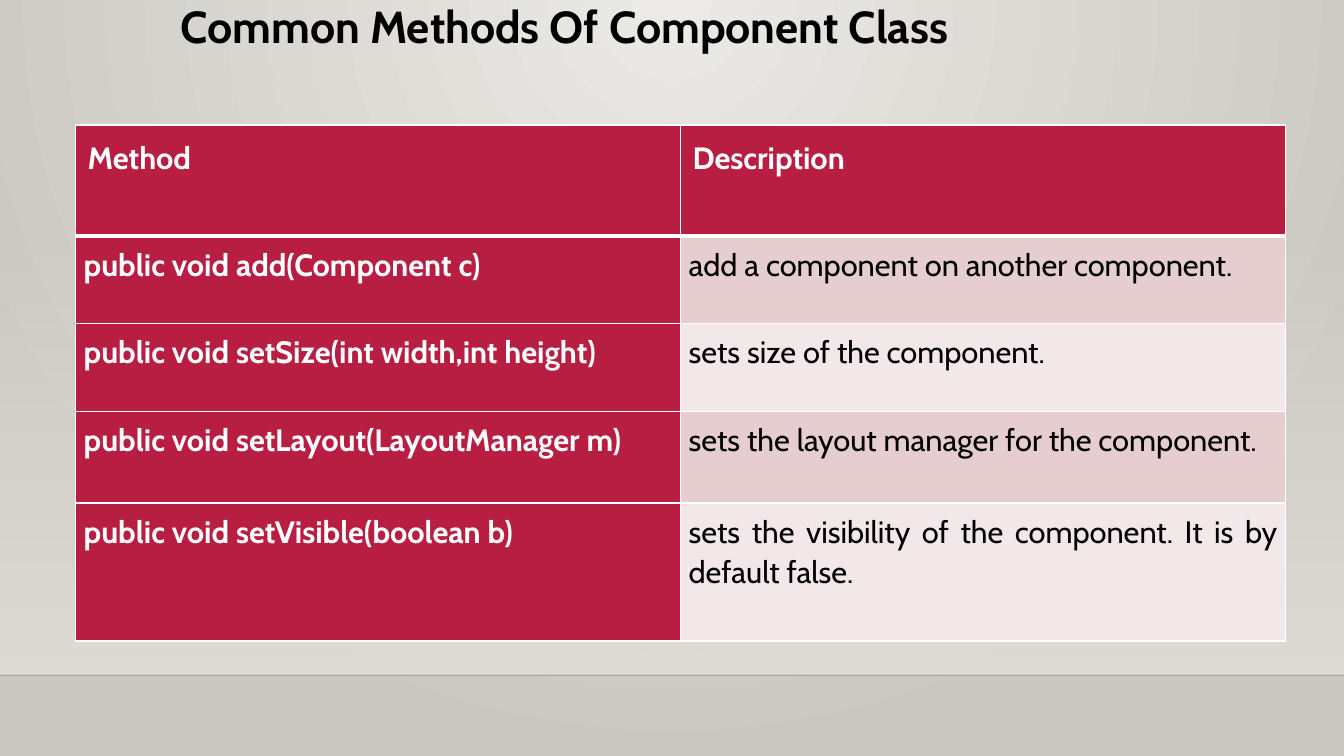
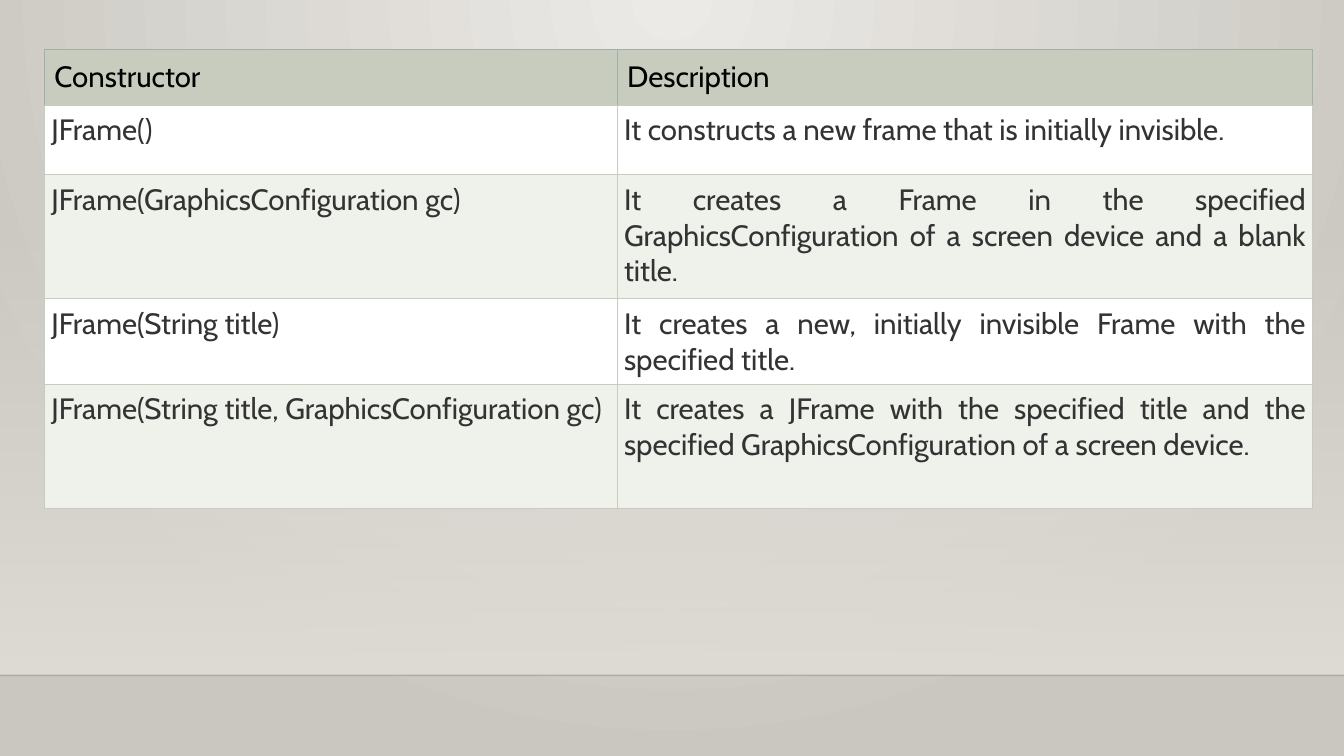
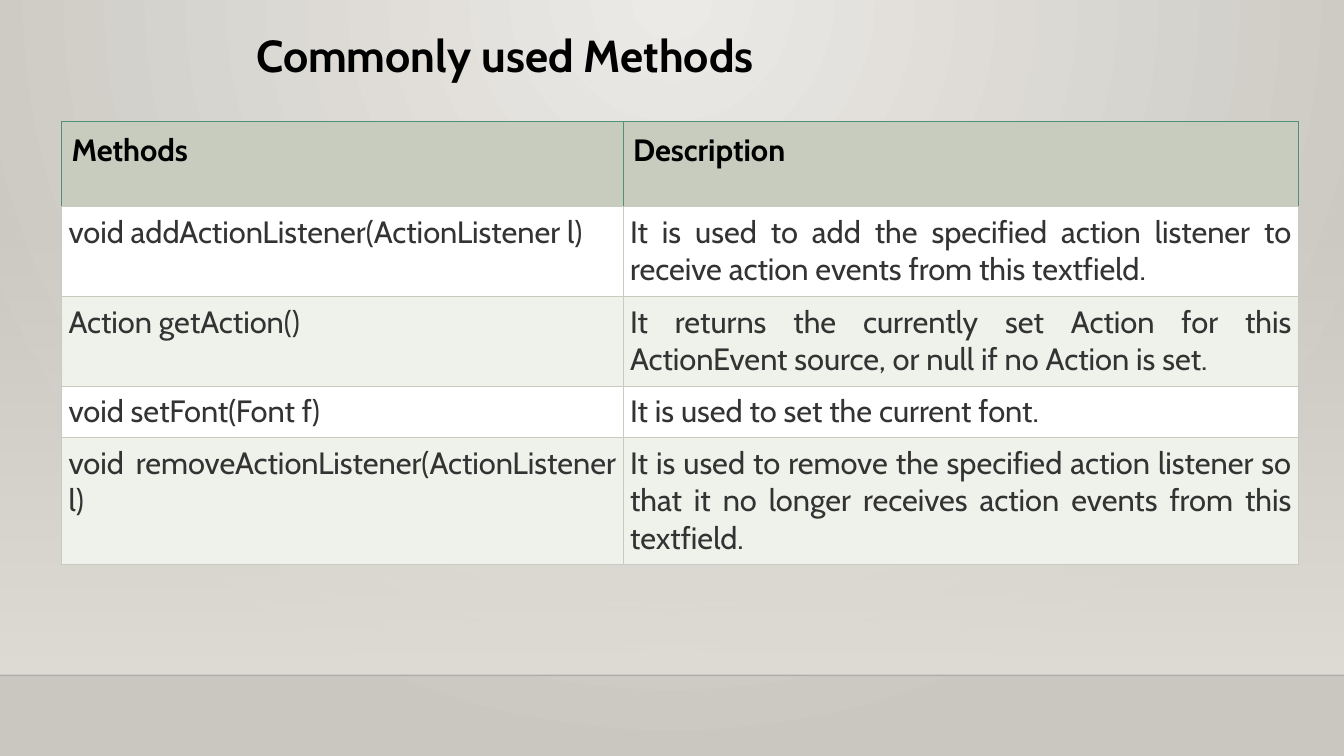
import pptx
import pptx.util
import pptx.oxml
import pptx.oxml.ns
import pptx.dml.color
import pptx.enum.shapes
import pptx.enum.text
from pptx.util import Inches

FONT = "Cabin"
BLACK, WHITE, CHARCOAL = "000000", "FFFFFF", "333333"
CRIMSON, SAGE, PALE_SAGE = "B71E42", "C7CCBE", "EFF1EB"
TITLE_FORMAT = {"size": 32, "bold": True, "color": BLACK}
NAMESPACE = pptx.oxml.ns.nsdecls("a")
ALIGN = pptx.enum.text.PP_ALIGN

CRIMSON_STYLE = {
    "border": (WHITE, 1),
    "header_border": (WHITE, 1),
    "header_rule": (WHITE, 3),
    "header_fill": CRIMSON,
    "key_fill": CRIMSON,
    "bands": ["E6CDCF", "F3E8E9"],
    "header_font": {"size": 22, "bold": True, "color": WHITE},
    "key_font": {"size": 22, "bold": True, "color": WHITE},
    "body_font": {"size": 22, "bold": False, "color": BLACK},
    "header_inset": 0.12,
    "body_inset": 0.08,
    "line_spacing": 1.07,
}


def sage_style(size, header_bold, header_line):
    body_font = {"size": size, "bold": False, "color": CHARCOAL}
    return {
        "border": (SAGE, 0.75),
        "header_border": (header_line, 0.75),
        "header_rule": (SAGE, 0.75),
        "header_fill": SAGE,
        "key_fill": None,
        "bands": [WHITE, PALE_SAGE],
        "header_font": {"size": size, "bold": header_bold, "color": BLACK},
        "key_font": body_font,
        "body_font": body_font,
        "header_inset": 0.1,
        "body_inset": 0.07,
        "line_spacing": 1.0,
    }


def rgb(color):
    return pptx.dml.color.RGBColor.from_string(color)


def format_font(font, values):
    settings = {"name": FONT, "size": pptx.util.Pt(values["size"]), "bold": values["bold"]}
    for name, value in settings.items():
        setattr(font, name, value)
    font.color.rgb = rgb(values["color"])


def set_gradient(fill, properties, stops, direction):
    fill.gradient()
    stop_list = "".join(
        f'<a:gs pos="{position * 1000}"><a:srgbClr val="{color}">'
        f'<a:alpha val="{alpha * 1000}"/></a:srgbClr></a:gs>'
        for position, color, alpha in stops
    )
    gradient = pptx.oxml.parse_xml(
        f'<a:gradFill {NAMESPACE} rotWithShape="1"><a:gsLst>{stop_list}</a:gsLst>{direction}</a:gradFill>'
    )
    current = properties.find(pptx.oxml.ns.qn("a:gradFill"))
    properties.replace(current, gradient)


def build_master(deck, helper_page):
    master = deck.slide_master
    background = master.background.fill
    properties = master.element.find(".//" + pptx.oxml.ns.qn("p:bgPr"))
    set_gradient(
        background, properties, [(0, "ECEAE7", 100), (100, "CAC7C1", 100)],
        '<a:path path="circle"><a:fillToRect l="43000" t="0" r="43000" b="100000"/></a:path>',
    )
    horizon = Inches(6.7)
    wall = helper_page.shapes.add_shape(
        pptx.enum.shapes.MSO_SHAPE.RECTANGLE, 0, Inches(2.21), deck.slide_width, Inches(4.49)
    )
    wall.shadow.inherit = False
    wall.line.fill.background()
    set_gradient(
        wall.fill, wall.element.spPr, [(0, "DFDBD5", 0), (100, "DFDBD5", 100)],
        '<a:lin ang="5400000" scaled="0"/>',
    )
    edge = helper_page.shapes.add_connector(
        pptx.enum.shapes.MSO_CONNECTOR.STRAIGHT, 0, horizon, deck.slide_width, horizon
    )
    edge.line.width = pptx.util.Pt(1)
    edge.line.color.rgb = rgb("000001")
    line_color = edge.element.spPr.find(".//" + pptx.oxml.ns.qn("a:srgbClr"))
    line_color.append(pptx.oxml.parse_xml(f'<a:alpha {NAMESPACE} val="20000"/>'))
    edge.element.spPr.append(pptx.oxml.parse_xml(f"<a:effectLst {NAMESPACE}/>"))
    for index, shape in enumerate([wall, edge], start=2):
        master.shapes.element.insert(index, shape.element)


def place_title(page, text, box, line_spacing):
    title = page.shapes.title
    for name, value in zip(("left", "top", "width", "height"), box):
        setattr(title, name, Inches(value))
    frame = title.text_frame
    frame.text = text
    frame.vertical_anchor = pptx.enum.text.MSO_ANCHOR.TOP
    frame.auto_size = pptx.enum.text.MSO_AUTO_SIZE.NONE
    para = frame.paragraphs[0]
    para.alignment = ALIGN.LEFT
    para.line_spacing = line_spacing
    format_font(para.runs[0].font, TITLE_FORMAT)


def set_borders(cell, borders):
    properties = cell._tc.get_or_add_tcPr()
    for index, side in enumerate("LRTB"):
        color, width = borders[side]
        properties.insert(index, pptx.oxml.parse_xml(
            f'<a:ln{side} {NAMESPACE} w="{pptx.util.Pt(width)}"><a:solidFill>'
            f'<a:srgbClr val="{color}"/></a:solidFill></a:ln{side}>'
        ))


def fill_cell(cell, text, row, column, style):
    is_header = row == 0
    if is_header:
        fill, font = style["header_fill"], style["header_font"]
    elif column == 0:
        fill, font = style["key_fill"], style["key_font"]
    else:
        fill, font = None, style["body_font"]
    cell.fill.solid()
    cell.fill.fore_color.rgb = rgb(fill or style["bands"][(row - 1) % 2])
    borders = dict.fromkeys("LRTB", style["header_border" if is_header else "border"])
    if row < 2:
        borders["B" if is_header else "T"] = style["header_rule"]
    set_borders(cell, borders)
    inset = Inches(style["header_inset" if is_header else "body_inset"])
    for side in ("left", "top", "right", "bottom"):
        setattr(cell, f"margin_{side}", inset)
    cell.text = text
    para = cell.text_frame.paragraphs[0]
    para.alignment = ALIGN.LEFT if is_header else ALIGN.JUSTIFY
    para.line_spacing = style["line_spacing"]
    format_font(para.runs[0].font, font)


def place_table(page, left, top, widths, heights, rows, style):
    table = page.shapes.add_table(
        len(rows), len(widths), Inches(left), Inches(top), Inches(sum(widths)), Inches(sum(heights))
    ).table
    table.first_row = table.horz_banding = False
    for column, width in zip(table.columns, widths):
        column.width = Inches(width)
    for row, height in zip(table.rows, heights):
        row.height = Inches(height)
    for row, texts in enumerate(rows):
        for column, text in enumerate(texts):
            fill_cell(table.cell(row, column), text, row, column, style)


def component_methods(page):
    place_title(page, "Common Methods Of Component Class", (1.69, 0, 10.5, 0.83), 0.9)
    place_table(page, 0.75, 1.24, [6, 6], [1.1, 0.87, 0.87, 0.91, 1.37], [
        ("Method", "Description"),
        ("public void add(Component c)", "add a component on another component."),
        ("public void setSize(int width,int height)", "sets size of the component."),
        ("public void setLayout(LayoutManager m)", "sets the layout manager for the component."),
        ("public void setVisible(boolean b)",
         "sets the visibility of the component. It is by default false."),
    ], CRIMSON_STYLE)


def frame_constructors(page):
    place_table(page, 0.44, 0.49, [5.68, 6.9], [0.5, 0.69, 1.23, 0.69, 1.23], [
        ("Constructor", "Description"),
        ("JFrame()", "It constructs a new frame that is initially invisible."),
        ("JFrame(GraphicsConfiguration gc)",
         "It creates a Frame in the specified GraphicsConfiguration of a screen device and a blank title."),
        ("JFrame(String title)",
         "It creates a new, initially invisible Frame with the specified title."),
        ("JFrame(String title, GraphicsConfiguration gc)",
         "It creates a JFrame with the specified title and the specified "
         "GraphicsConfiguration of a screen device."),
    ], sage_style(21, False, "A0B1A8"))


def textfield_methods(page):
    place_title(page, "Commonly used Methods", (2.44, 0.22, 5.56, 0.64), 1.0)
    place_table(page, 0.61, 1.21, [5.57, 6.7], [0.84, 0.89, 0.89, 0.39, 1.14], [
        ("Methods", "Description"),
        ("void addActionListener(ActionListener l)",
         "It is used to add the specified action listener to receive action events from this textfield."),
        ("Action getAction()",
         "It returns the currently set Action for this ActionEvent source, or null if no Action is set."),
        ("void setFont(Font f)", "It is used to set the current font."),
        ("void removeActionListener(ActionListener l)",
         "It is used to remove the specified action listener so that it no longer "
         "receives action events from this textfield."),
    ], sage_style(22, True, "509074"))


def main():
    deck = pptx.Presentation()
    deck.slide_width, deck.slide_height = Inches(13.33), Inches(7.5)
    title_only, blank = deck.slide_layouts[5], deck.slide_layouts[6]
    pages = [deck.slides.add_slide(layout) for layout in (title_only, blank, title_only)]
    build_master(deck, pages[0])
    for build, page in zip((component_methods, frame_constructors, textfield_methods), pages):
        build(page)
    deck.save("out.pptx")


if __name__ == "__main__":
    main()
